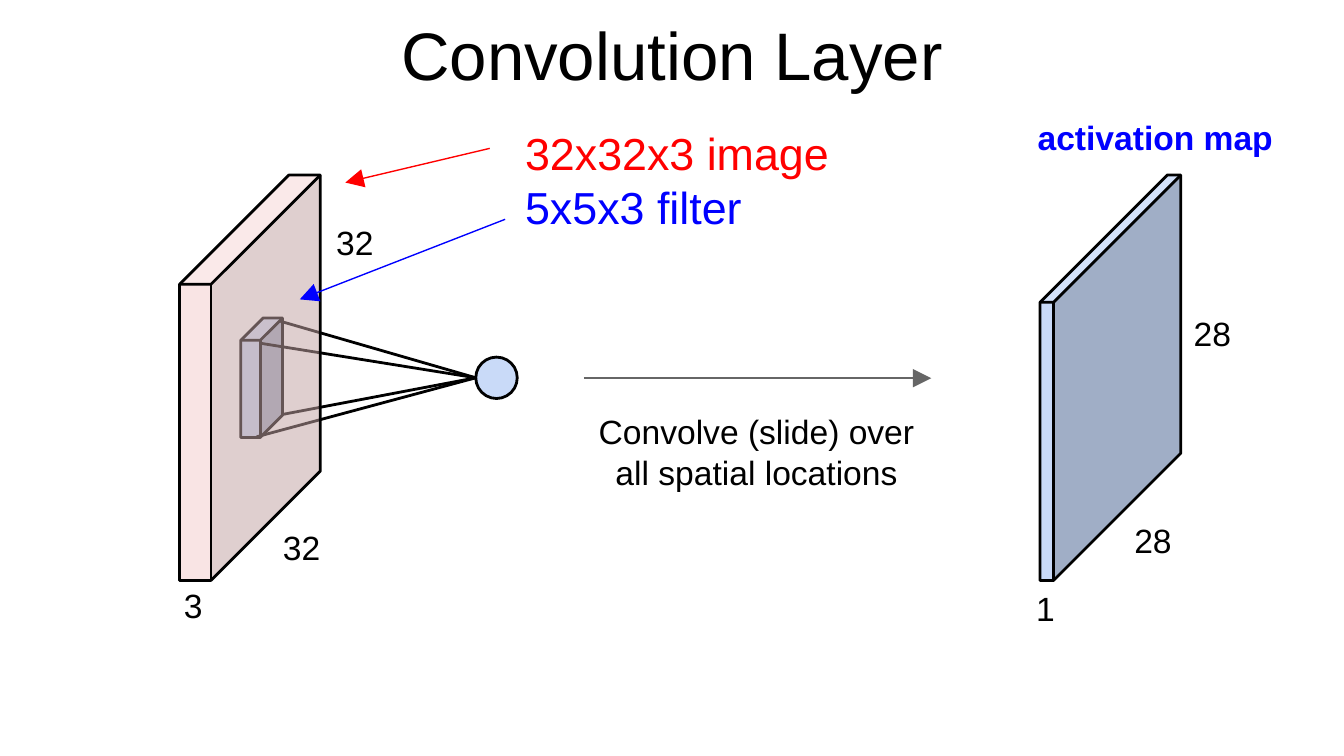
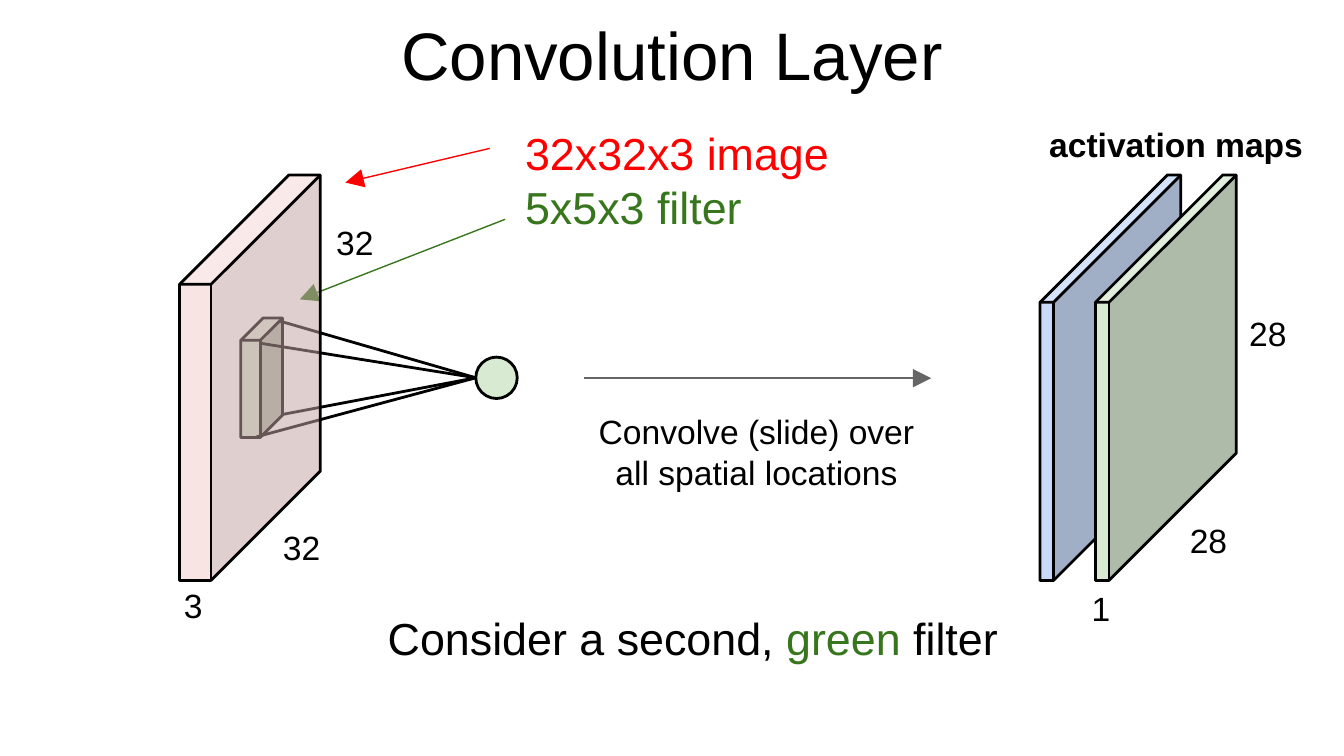
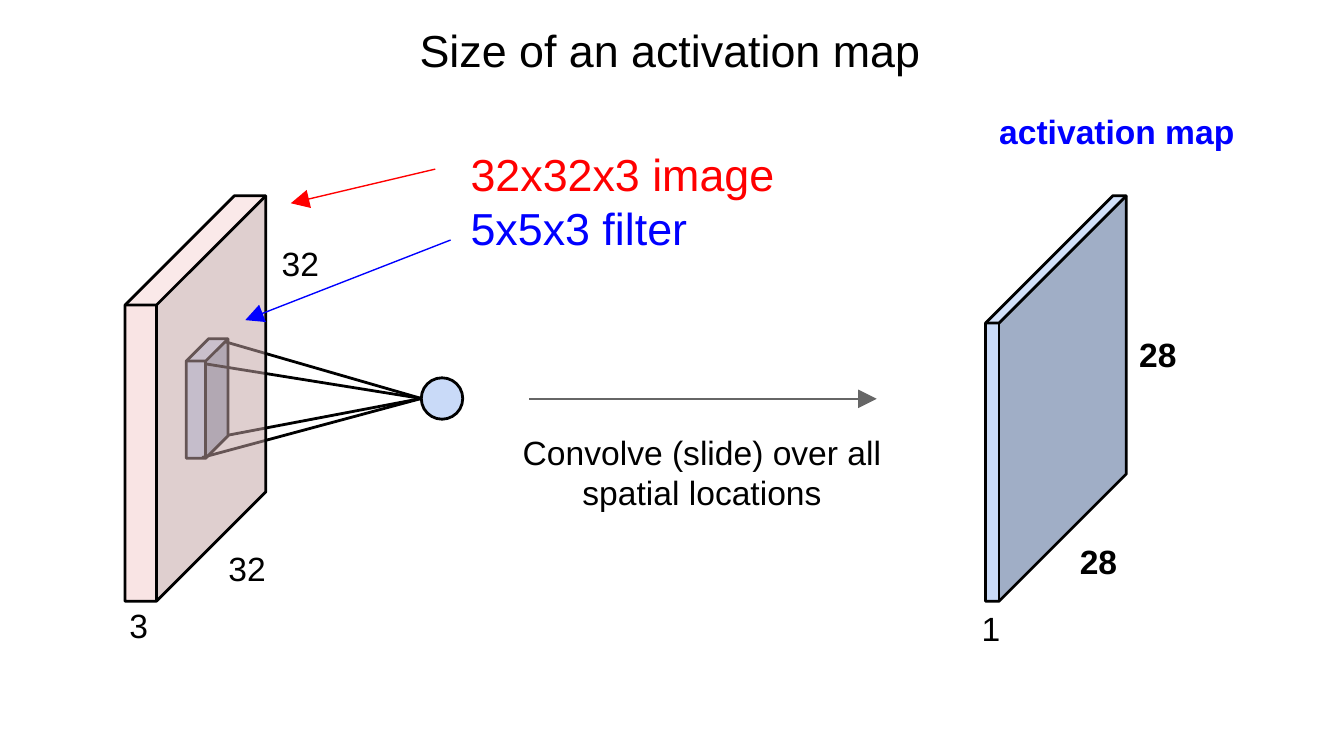
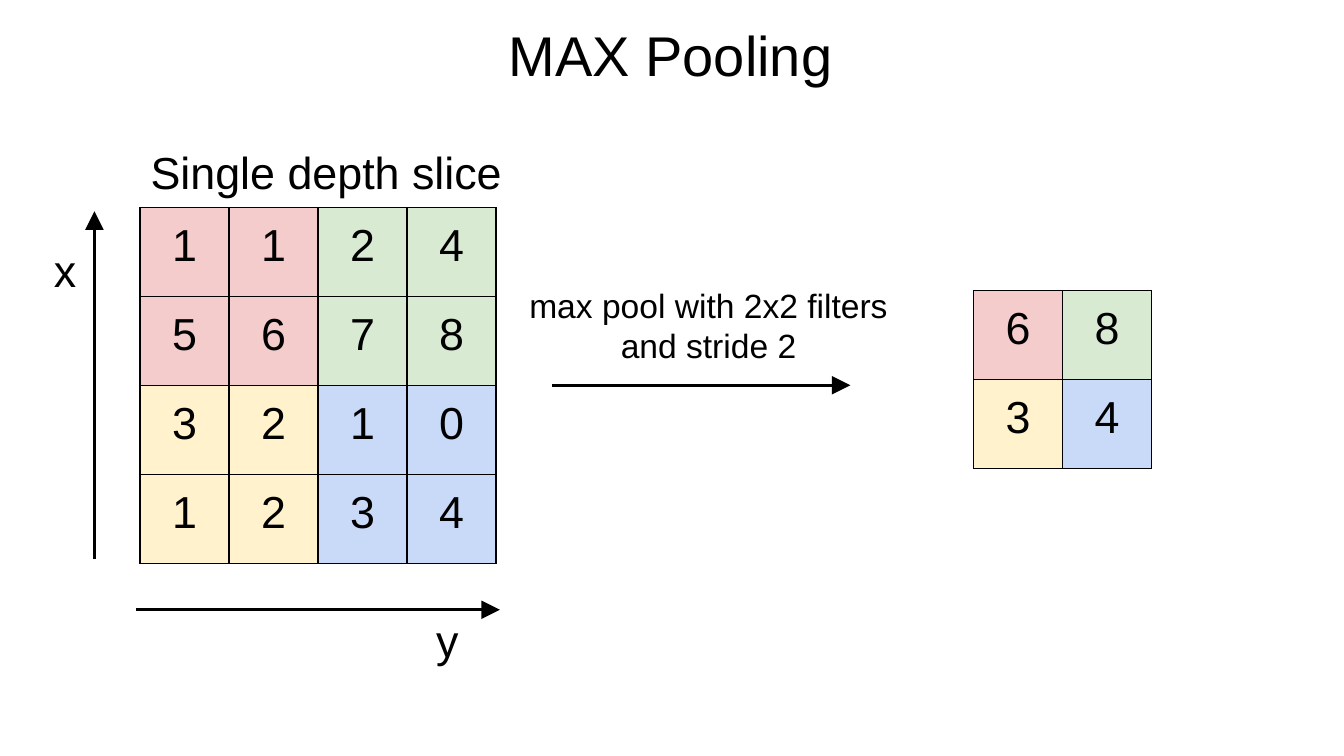
from dataclasses import dataclass

from lxml import etree
from pptx import Presentation
from pptx.dml.color import RGBColor
from pptx.enum.shapes import MSO_CONNECTOR, MSO_SHAPE
from pptx.enum.text import MSO_ANCHOR, PP_ALIGN as Align
from pptx.oxml.ns import qn
from pptx.slide import Slide
from pptx.util import Pt

COLORS = {
    "black": "000000",
    "gray": "666666",
    "red": "FF0000",
    "blue": "0000FF",
    "green": "38761D",
    "pale_red": "F4CCCC",
    "pale_green": "D9EAD3",
    "pale_blue": "C9DAF8",
    "pale_yellow": "FFF2CC",
}
FONT = "Arial"
INSET = 7.2
MAP_SHIFT = 29.7
CELL = 47.7
QUADRANTS = (("pale_red", "pale_green"), ("pale_yellow", "pale_blue"))
DEPTH_SLICE = ((1, 1, 2, 4), (5, 6, 7, 8), (3, 2, 1, 0), (1, 2, 3, 4))

Point = tuple[float, float]


@dataclass(frozen=True)
class Span:
    text: str
    color: str = "black"


@dataclass(frozen=True)
class Area:
    left: float
    top: float
    width: float
    height: float

    def moved(self, by: Point) -> "Area":
        return Area(self.left + by[0], self.top + by[1], self.width, self.height)


@dataclass(frozen=True)
class Label:
    area: Area
    lines: tuple[tuple[Span, ...], ...]
    size: float = 18
    bold: bool = False
    centered: bool = False


@dataclass(frozen=True)
class Arrow:
    start: Point
    end: Point
    color: str = "black"
    width: float = 0.75
    headed: bool = True


@dataclass(frozen=True)
class Solid:
    area: Area
    fill: str
    depth: float | None = None
    opacity: int = 100


@dataclass(frozen=True)
class Scene:
    title: Label
    map_heading: Label
    filter_color: str
    filter_fill: str
    map_fills: tuple[str, ...]
    caption: tuple[str, ...]
    caption_width: float = 205
    origin: Point = (0, 0)
    bold_map_sizes: bool = False
    image_in_front: bool = False


def plain(*lines: str, color: str = "black") -> tuple[tuple[Span, ...], ...]:
    return tuple((Span(line, color),) for line in lines)


def rgb(name: str) -> RGBColor:
    return RGBColor.from_string(COLORS[name])


def draw_label(page: Slide, label: Label, origin: Point = (0, 0)) -> None:
    area = label.area.moved(origin)
    box = page.shapes.add_textbox(Pt(area.left), Pt(area.top), Pt(area.width), Pt(area.height))
    frame = box.text_frame
    frame.word_wrap = True
    frame.vertical_anchor = MSO_ANCHOR.TOP
    frame.margin_left = frame.margin_right = Pt(INSET)
    frame.margin_top = frame.margin_bottom = Pt(INSET)
    for index, line in enumerate(label.lines):
        para = frame.add_paragraph() if index else frame.paragraphs[0]
        para.alignment = Align.CENTER if label.centered else Align.LEFT
        for span in line:
            run = para.add_run()
            run.text = span.text
            run.font.name = FONT
            run.font.size = Pt(label.size)
            run.font.bold = label.bold
            run.font.color.rgb = rgb(span.color)


def draw_arrow(page: Slide, arrow: Arrow, origin: Point = (0, 0)) -> None:
    dx, dy = origin
    (x1, y1), (x2, y2) = arrow.start, arrow.end
    connector = page.shapes.add_connector(
        MSO_CONNECTOR.STRAIGHT, Pt(x1 + dx), Pt(y1 + dy), Pt(x2 + dx), Pt(y2 + dy)
    )
    connector.line.color.rgb = rgb(arrow.color)
    connector.line.width = Pt(arrow.width)
    if arrow.headed:
        line = connector.line._get_or_add_ln()
        etree.SubElement(line, qn("a:tailEnd"), type="triangle", w="lg", len="lg")
    etree.SubElement(connector._element.spPr, qn("a:effectLst"))


def draw_solid(page: Slide, solid: Solid, origin: Point) -> None:
    area = solid.area.moved(origin)
    kind = MSO_SHAPE.OVAL if solid.depth is None else MSO_SHAPE.CUBE
    shape = page.shapes.add_shape(
        kind, Pt(area.left), Pt(area.top), Pt(area.width), Pt(area.height)
    )
    if solid.depth is not None:
        shape.adjustments[0] = solid.depth
    shape.shadow.inherit = False
    shape.fill.solid()
    shape.fill.fore_color.rgb = rgb(solid.fill)
    if solid.opacity < 100:
        color = shape._element.spPr.find(f"{qn('a:solidFill')}/{qn('a:srgbClr')}")
        etree.SubElement(color, qn("a:alpha"), val=str(solid.opacity * 1000))
    shape.line.color.rgb = rgb("black")
    shape.line.width = Pt(1.5)


def draw_filter(page: Slide, scene: Scene) -> None:
    origin = scene.origin
    draw_solid(page, Solid(Area(129, 170.4, 22.4, 64), scene.filter_fill, 0.534), origin)
    draw_solid(page, Solid(Area(254.9, 191.3, 22.2, 22.2), scene.filter_fill), origin)
    for corner in ((137.5, 234), (139, 183.8), (149.8, 172), (151.6, 222)):
        draw_arrow(page, Arrow(corner, (254.9, 202.4), width=1.5, headed=False), origin)


def draw_annotations(page: Slide, scene: Scene) -> None:
    sizes = (
        Label(Area(144.5, 275, 39, 24.5), plain("32")),
        Label(Area(173, 111.6, 39, 22.3), plain("32")),
        Label(Area(91.4, 306, 39, 14.4), plain("3")),
    )
    legend = (
        (Span("32x32x3 image", "red"),),
        (Span("5x5x3 filter", scene.filter_color),),
    )
    center = 405.3
    caption_area = Area(center - scene.caption_width / 2, 213.2, scene.caption_width, 64)
    labels = (
        *sizes,
        Label(Area(274.2, 60.3, 286.6, 43.2), legend, 24),
        Label(caption_area, plain(*scene.caption), centered=True),
    )
    for label in labels:
        draw_label(page, label, scene.origin)
    arrows = (
        Arrow((262.4, 79.5), (185, 97.8), "red"),
        Arrow((270.6, 117.5), (160.6, 160.4), "blue" if scene.filter_color == "blue" else "green"),
        Arrow((312.8, 202.6), (498.9, 202.6), "gray"),
    )
    for arrow in arrows:
        draw_arrow(page, arrow, scene.origin)


def draw_maps(page: Slide, scene: Scene) -> None:
    dx, dy = scene.origin
    for index, fill in enumerate(scene.map_fills):
        place = (dx + index * MAP_SHIFT, dy)
        draw_solid(page, Solid(Area(557.2, 93.8, 75.4, 217.2), fill, 0.904), place)
    bold = scene.bold_map_sizes
    for label in (
        Label(Area(548, 307.6, 26, 24.5), plain("1")),
        Label(Area(600.6, 271.6, 39, 24.5), plain("28"), bold=bold),
        Label(Area(632.4, 160.6, 39, 24.5), plain("28"), bold=bold),
    ):
        draw_label(page, label, place)
    draw_label(page, scene.map_heading)


def draw_scene(page: Slide, scene: Scene) -> None:
    image = Solid(Area(96.2, 93.8, 75.4, 217.2), "pale_red", 0.777, 52)
    draw_filter(page, scene)
    if not scene.image_in_front:
        draw_solid(page, image, scene.origin)
    draw_annotations(page, scene)
    draw_maps(page, scene)
    if scene.image_in_front:
        draw_solid(page, image, scene.origin)
    draw_label(page, scene.title)


def border_cell(properties: etree._Element) -> None:
    for position, side in enumerate(("lnL", "lnR", "lnT", "lnB")):
        line = etree.Element(qn(f"a:{side}"), w=str(Pt(0.75)))
        fill = etree.SubElement(line, qn("a:solidFill"))
        etree.SubElement(fill, qn("a:srgbClr"), val=COLORS["black"])
        properties.insert(position, line)


def draw_grid(page: Slide, left: float, top: float, values: tuple[tuple[int, ...], ...]) -> None:
    count = len(values)
    side = Pt(CELL * count)
    table = page.shapes.add_table(count, count, Pt(left), Pt(top), side, side).table
    table.first_row = table.horz_banding = False
    for index in range(count):
        table.rows[index].height = table.columns[index].width = Pt(CELL)
    for row, numbers in enumerate(values):
        for column, number in enumerate(numbers):
            cell = table.cell(row, column)
            cell.margin_left = cell.margin_right = Pt(INSET)
            cell.margin_top = cell.margin_bottom = Pt(INSET)
            cell.fill.solid()
            cell.fill.fore_color.rgb = rgb(QUADRANTS[row * 2 // count][column * 2 // count])
            border_cell(cell._tc.get_or_add_tcPr())
            cell.text_frame.text = str(number)
            para = cell.text_frame.paragraphs[0]
            para.alignment = Align.CENTER
            font = para.runs[0].font
            font.name = FONT
            font.size = Pt(24)
            font.color.rgb = rgb("black")


def max_pool(values: tuple[tuple[int, ...], ...]) -> tuple[tuple[int, ...], ...]:
    steps = range(0, len(values), 2)
    return tuple(
        tuple(max(values[row][column:column + 2] + values[row + 1][column:column + 2])
              for column in steps)
        for row in steps
    )


def draw_pooling(page: Slide) -> None:
    draw_grid(page, 75, 111.1, DEPTH_SLICE)
    draw_grid(page, 521.5, 155.6, max_pool(DEPTH_SLICE))
    for arrow in (
        Arrow((50.6, 299.5), (50.6, 113.2), width=1.5),
        Arrow((72.8, 326.7), (267.8, 326.7), width=1.5),
        Arrow((295.8, 206.4), (455.6, 206.4), width=1.5),
    ):
        draw_arrow(page, arrow)
    pooling = plain("max pool with 2x2 filters and stride 2")
    for label in (
        Label(Area(73.6, 70.5, 206, 44.6), plain("Single depth slice"), 24),
        Label(Area(21.8, 123, 31, 36.7), plain("x"), 24),
        Label(Area(226.6, 321.2, 31, 28.8), plain("y"), 24),
        Label(Area(274.1, 145.3, 211, 57.6), pooling, centered=True),
        Label(Area(21.6, 3.6, 675.4, 51.8), plain("MAX Pooling"), 30, centered=True),
    ):
        draw_label(page, label)


def main() -> None:
    deck = Presentation()
    deck.slide_width, deck.slide_height = Pt(720), Pt(405)
    blank = deck.slide_layouts[6]

    layer_title = Label(Area(0, 0, 720, 51.8), plain("Convolution Layer"), 36, centered=True)
    size_title = Label(
        Area(10.8, 5, 696.2, 47.5), plain("Size of an activation map"), 24, centered=True
    )
    one_map = plain("activation map", color="blue")
    two_maps = plain("activation maps")
    caption = ("Convolve (slide) over all spatial locations",)
    scenes = (
        Scene(
            layer_title, Label(Area(548.8, 55.6, 142, 32.4), one_map, bold=True),
            "blue", "pale_blue", ("pale_blue",), caption,
        ),
        Scene(
            layer_title, Label(Area(555, 59.2, 162.7, 42.5), two_maps, bold=True),
            "green", "pale_green", ("pale_blue", "pale_green"),
            ("Convolve (slide) over", "all spatial locations"), image_in_front=True,
        ),
        Scene(
            size_title, Label(Area(528.2, 52.4, 142, 42.5), one_map, bold=True),
            "blue", "pale_blue", ("pale_blue",), caption,
            caption_width=207.5, origin=(-29.2, 11.1), bold_map_sizes=True,
        ),
    )
    pages = [deck.slides.add_slide(blank) for _ in range(len(scenes) + 1)]
    for page, scene in zip(pages, scenes):
        draw_scene(page, scene)
    second_filter = ((Span("Consider a second, "), Span("green ", "green"), Span("filter")),)
    draw_label(pages[1], Label(Area(200.6, 320.2, 359.3, 42.5), second_filter, 24))
    draw_pooling(pages[-1])
    deck.save("out.pptx")


if __name__ == "__main__":
    main()
